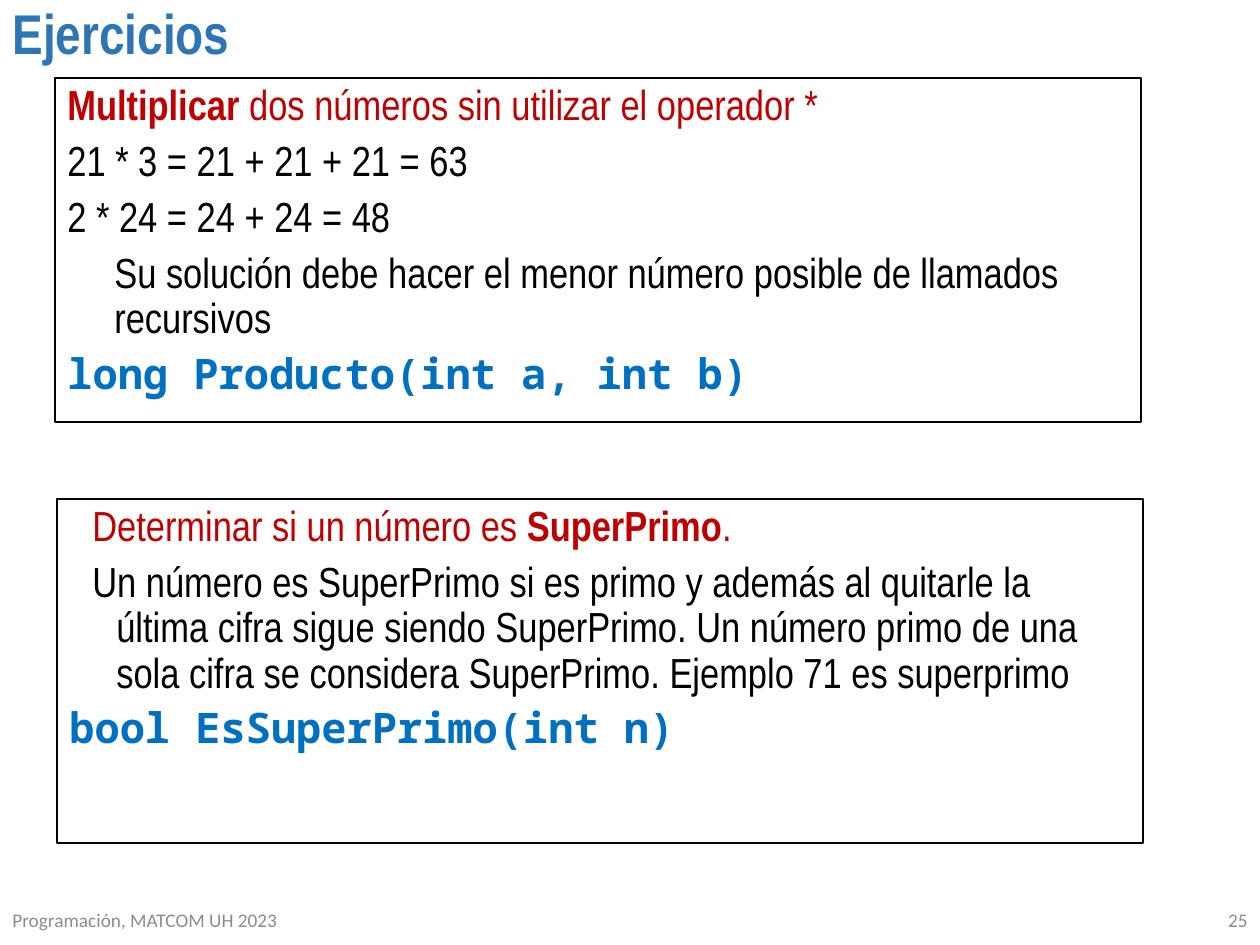
from dataclasses import dataclass

from pptx import Presentation
from pptx import util as u
from pptx.dml.color import RGBColor
from pptx.enum import shapes, text

EMU_PER_PX = 914400 / 126


def px(length):
    return u.Emu(round(length * EMU_PER_PX))


@dataclass(frozen=True)
class Theme:
    heading: str = "2E75B6"
    prompt: str = "C00000"
    body: str = "000000"
    code: str = "0070C0"
    footer: str = "8C8C8C"
    body_font: str = "Arial Narrow"
    code_font: str = "Noto Sans Mono"
    footer_font: str = "Calibri"
    title_size: int = 32
    body_size: int = 24
    footer_size: int = 11


@dataclass(frozen=True)
class Line:
    """One paragraph: runs are (text, bold) pairs, indents are in px."""
    runs: tuple
    color: str
    font: str = Theme.body_font
    margin: int = 0
    first: int = 0


class SlideBuilder:
    def __init__(self, slide, theme):
        self.slide = slide
        self.theme = theme

    def place(self, shape, left, top, width, height):
        shape.left, shape.top = px(left), px(top)
        shape.width, shape.height = px(width), px(height)

    def style(self, paragraph, font, size, color, bold=None):
        paragraph.font.name = font
        paragraph.font.size = u.Pt(size)
        paragraph.font.color.rgb = RGBColor.from_string(color)
        paragraph.font.bold = bold

    def title(self, words, *box):
        title = self.slide.shapes.title
        self.place(title, *box)
        frame = title.text_frame
        frame.text = words
        frame.vertical_anchor = text.MSO_ANCHOR.TOP
        paragraph = frame.paragraphs[0]
        paragraph.alignment = text.PP_ALIGN.LEFT
        paragraph.line_spacing = 0.9
        theme = self.theme
        self.style(paragraph, theme.body_font, theme.title_size, theme.heading, True)

    def exercise(self, lines, *box):
        """Outlined rectangle holding the statement of one exercise."""
        panel = self.slide.shapes.add_shape(
            shapes.MSO_SHAPE.RECTANGLE, *map(px, box))
        panel.shadow.inherit = False
        panel.fill.background()
        panel.line.color.rgb = RGBColor.from_string(self.theme.body)
        panel.line.width = u.Pt(0.75)
        frame = panel.text_frame
        frame.word_wrap = True
        frame.vertical_anchor = text.MSO_ANCHOR.TOP
        for index, line in enumerate(lines):
            paragraph = frame.add_paragraph() if index else frame.paragraphs[0]
            self.fill_paragraph(paragraph, line)

    def fill_paragraph(self, paragraph, line):
        paragraph.alignment = text.PP_ALIGN.LEFT
        paragraph.line_spacing = 0.9
        paragraph.space_before = u.Pt(6)
        self.style(paragraph, line.font, self.theme.body_size, line.color)
        properties = paragraph._p.get_or_add_pPr()
        properties.set("marL", str(px(line.margin)))
        properties.set("indent", str(px(line.first)))
        for words, bold in line.runs:
            run = paragraph.add_run()
            run.text = words
            run.font.bold = bold

    def footer(self, words, alignment, *box):
        frame = self.slide.shapes.add_textbox(*map(px, box)).text_frame
        frame.word_wrap = True
        frame.vertical_anchor = text.MSO_ANCHOR.MIDDLE
        frame.text = words
        paragraph = frame.paragraphs[0]
        paragraph.alignment = alignment
        theme = self.theme
        self.style(paragraph, theme.footer_font, theme.footer_size, theme.footer)


def main():
    theme = Theme()
    presentation = Presentation()
    presentation.slide_width, presentation.slide_height = px(1260), px(945)
    slide = presentation.slides.add_slide(presentation.slide_layouts[5])
    builder = SlideBuilder(slide, theme)

    def code(words):
        return Line(((words, True),), theme.code, theme.code_font)

    def plain(words, margin=0, first=0):
        return Line(((words, False),), theme.body, margin=margin, first=first)

    builder.title("Ejercicios", 0, 0, 1086, 141)
    builder.exercise([
        Line((("Multiplicar ", True),
              ("dos números sin utilizar el operador *", False)), theme.prompt),
        plain("21 * 3 = 21 + 21 + 21 = 63"),
        plain("2 * 24 = 24 + 24 = 48"),
        plain("Su solución debe hacer el menor número posible de llamados "
              "recursivos", margin=47),
        code("long Producto(int a, int b)"),
    ], 55, 78, 1086, 344)
    builder.exercise([
        Line((("Determinar si un número es ", False), ("SuperPrimo", True),
              (".", False)), theme.prompt, margin=47, first=-24),
        plain("Un número es SuperPrimo si es primo y además al quitarle la "
              "última cifra sigue siendo SuperPrimo. Un número primo de una "
              "sola cifra se considera SuperPrimo. Ejemplo 71 es superprimo",
              margin=47, first=-24),
        code("bool EsSuperPrimo(int n)"),
    ], 57, 499, 1086, 344)
    builder.footer("Programación, MATCOM UH 2023", text.PP_ALIGN.LEFT,
                   0, 895, 756, 50)
    builder.footer("25", text.PP_ALIGN.RIGHT, 976, 895, 284, 50)
    presentation.save("out.pptx")


if __name__ == "__main__":
    main()
